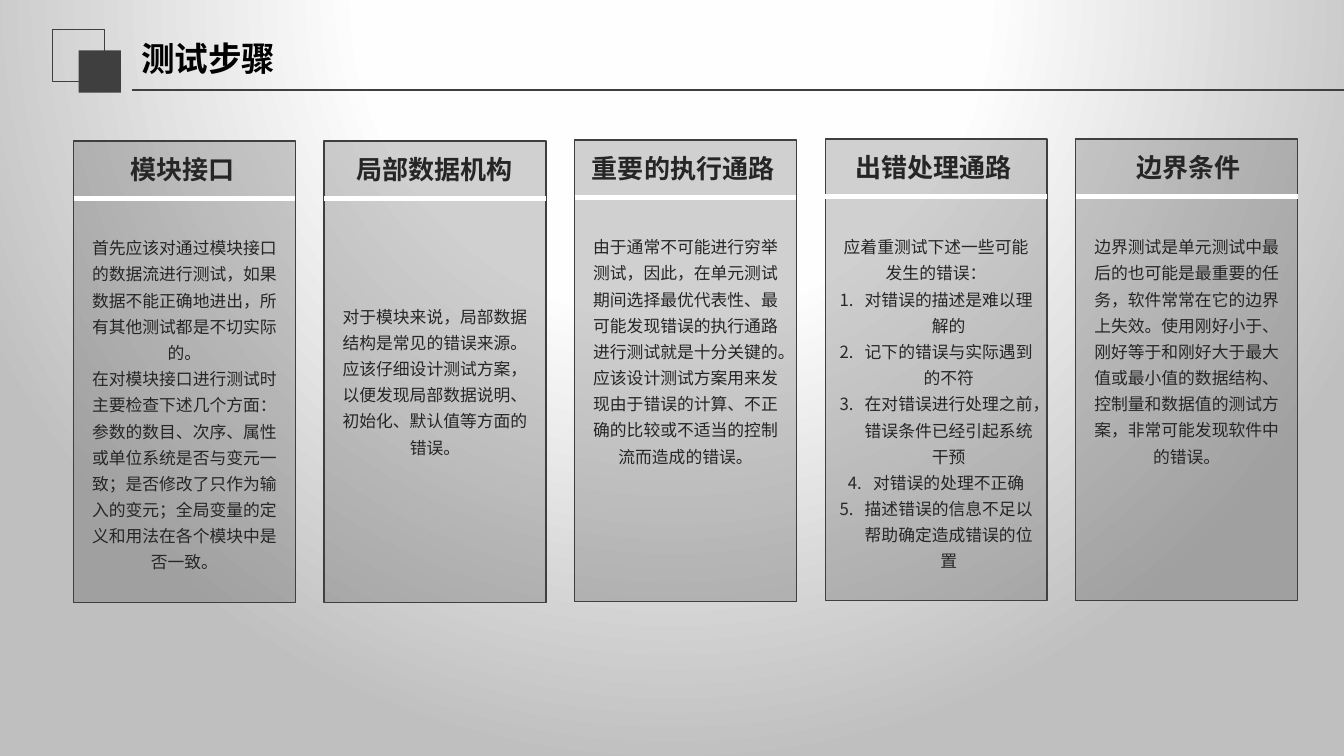
from dataclasses import dataclass
from typing import Any

from lxml.etree import SubElement
from pptx import Presentation
from pptx.dml.color import RGBColor
from pptx.enum.shapes import MSO_CONNECTOR, MSO_SHAPE
from pptx.enum.text import MSO_ANCHOR, MSO_AUTO_SIZE, PP_ALIGN
from pptx.oxml import parse_xml
from pptx.oxml.ns import nsdecls, qn
from pptx.util import Inches, Pt

COLUMN_LEFT, COLUMN_STEP, COLUMN_WIDTH = 0.73, 2.485, 2.2
COLUMN_HEIGHT = 4.58
INDENT = Inches(0.25)

COLUMNS = [
    dict(heading="模块接口", top=1.4, shift=0.05, body_top=2.3, body_height=3.39, paragraphs=[
        "首先应该对通过模块接口的数据流进行测试，如果数据不能正确地进出，所有其他测试都是不切实际的。",
        "在对模块接口进行测试时主要检查下述几个方面：参数的数目、次序、属性或单位系统是否与变元一致；"
        "是否修改了只作为输入的变元；全局变量的定义和用法在各个模块中是否一致。",
    ]),
    dict(heading="局部数据机构", top=1.4, shift=0.06, body_top=2.98, body_height=1.55, paragraphs=[
        "对于模块来说，局部数据结构是常见的错误来源。应该仔细设计测试方案，"
        "以便发现局部数据说明、初始化、默认值等方面的错误。",
    ]),
    dict(heading="重要的执行通路", top=1.39, shift=0.04, body_top=2.29, body_height=2.34, paragraphs=[
        "由于通常不可能进行穷举测试，因此，在单元测试期间选择最优代表性、"
        "最可能发现错误的执行通路进行测试就是十分关键的。应该设计测试方案用来发现由于错误的计算、"
        "不正确的比较或不适当的控制流而造成的错误。",
    ]),
    dict(heading="出错处理通路", top=1.38, shift=0.04, body_top=2.29, body_height=3.39, paragraphs=[
        "应着重测试下述一些可能发生的错误：",
    ], numbered=[
        "对错误的描述是难以理解的",
        "记下的错误与实际遇到的不符",
        "在对错误进行处理之前，错误条件已经引起系统干预",
        "对错误的处理不正确",
        "描述错误的信息不足以帮助确定造成错误的位置",
    ]),
    dict(heading="边界条件", top=1.38, shift=0.08, body_top=2.29, body_height=2.34, paragraphs=[
        "边界测试是单元测试中最后的也可能是最重要的任务，软件常常在它的边界上失效。"
        "使用刚好小于、刚好等于和刚好大于最大值或最小值的数据结构、控制量和数据值的测试方案，"
        "非常可能发现软件中的错误。",
    ]),
]


def color(value):
    return RGBColor.from_string(value)


@dataclass
class SlideBuilder:
    page: Any
    dark: str = "3F3F3F"
    ink: str = "262626"
    white: str = "FFFFFF"
    body_font: str = "Noto Sans CJK SC"
    title_font: str = "Calibri"

    def background(self):
        self.page.background.fill.solid()
        properties = self.page.element.find(".//" + qn("p:bgPr"))
        stops = "".join(
            f'<a:gs pos="{position * 1000}"><a:srgbClr val="{value}"/></a:gs>'
            for position, value in ((0, self.white), (40, "FEFEFE"), (100, "BFBFBF"))
        )
        gradient = parse_xml(
            f'<a:gradFill {nsdecls("a")} rotWithShape="1"><a:gsLst>{stops}</a:gsLst>'
            '<a:path path="circle"><a:fillToRect l="50000" t="-80000" r="50000" b="180000"/>'
            "</a:path></a:gradFill>"
        )
        properties.replace(properties[0], gradient)

    def rectangle(self, left, top, width, height, fill=None, line_width=None, opacity=None):
        shape = self.page.shapes.add_shape(
            MSO_SHAPE.RECTANGLE, Inches(left), Inches(top), Inches(width), Inches(height)
        )
        shape.shadow.inherit = False
        if fill:
            shape.fill.solid()
            shape.fill.fore_color.rgb = color(fill)
        else:
            shape.fill.background()
        if opacity:
            tone = shape.fill._xPr.find(".//" + qn("a:srgbClr"))
            SubElement(tone, qn("a:alpha"), val=str(opacity * 1000))
        if line_width:
            shape.line.color.rgb = color(self.dark)
            shape.line.width = Pt(line_width)
        else:
            shape.line.fill.background()

    def rule(self, left, right, y, line_color, line_width):
        line = self.page.shapes.add_connector(
            MSO_CONNECTOR.STRAIGHT, Inches(left), Inches(y), Inches(right), Inches(y)
        )
        line.line.color.rgb = color(line_color)
        line.line.width = Pt(line_width)
        SubElement(line.element.spPr, qn("a:effectLst"))

    def title(self, text, left, top, width, height):
        box = self.page.shapes.title
        box.left, box.top = Inches(left), Inches(top)
        box.width, box.height = Inches(width), Inches(height)
        frame = box.text_frame
        frame.text = text
        frame.auto_size = MSO_AUTO_SIZE.NONE
        frame.vertical_anchor = MSO_ANCHOR.MIDDLE
        para = frame.paragraphs[0]
        para.alignment = PP_ALIGN.LEFT
        font = para.runs[0].font
        font.name, font.size, font.bold = self.title_font, Pt(24), True
        font.color.rgb = color("000000")

    def text(self, left, top, width, height, lines, size, bold=False,
             inset=0, spacing=None, numbered=()):
        box = self.page.shapes.add_textbox(
            Inches(left), Inches(top), Inches(width), Inches(height)
        )
        frame = box.text_frame
        frame.word_wrap = True
        frame.auto_size = MSO_AUTO_SIZE.SHAPE_TO_FIT_TEXT
        frame.margin_left, frame.margin_right = Inches(inset), Inches(0.13)
        frame.margin_top = frame.margin_bottom = 0
        frame.text = "\n".join([*lines, *numbered])
        for index, para in enumerate(frame.paragraphs):
            if index >= len(lines):
                self.number(para)
            para.alignment = PP_ALIGN.CENTER
            if spacing:
                para.line_spacing = spacing
            for span in para.runs:
                span.font.name, span.font.size, span.font.bold = self.body_font, Pt(size), bold
                span.font.color.rgb = color(self.ink)
                SubElement(span.font._element, qn("a:ea"), typeface=self.body_font)

    def number(self, para):
        properties = para._p.get_or_add_pPr()
        properties.set("marL", str(INDENT))
        properties.set("indent", str(-INDENT))
        SubElement(properties, qn("a:buFont"), typeface="+mj-lt")
        SubElement(properties, qn("a:buAutoNum"), type="arabicPeriod")

    def column(self, left, heading, top, shift, body_top, body_height, paragraphs, numbered=()):
        self.rectangle(left, top, COLUMN_WIDTH, COLUMN_HEIGHT, self.dark, 1, opacity=24)
        self.rule(left, left + COLUMN_WIDTH, top + 0.57, self.white, 3)
        self.text(left + shift, top + 0.125, COLUMN_WIDTH, 0.31, [heading], 18.6, bold=True)
        self.text(left, body_top, COLUMN_WIDTH, body_height, paragraphs, 12,
                  inset=0.13, spacing=1.3, numbered=numbered)


def main():
    deck = Presentation()
    deck.slide_width, deck.slide_height = Inches(13.33), Inches(7.5)
    builder = SlideBuilder(deck.slides.add_slide(deck.slide_layouts[5]))
    builder.background()
    builder.rectangle(0.52, 0.29, 0.52, 0.52, line_width=0.75)
    builder.rectangle(0.78, 0.5, 0.42, 0.42, builder.dark)
    builder.rule(1.31, 13.33, 0.89, builder.dark, 1.25)
    builder.title("测试步骤", 1.3, 0.29, 4.74, 0.58)
    for index, column in enumerate(COLUMNS):
        builder.column(COLUMN_LEFT + index * COLUMN_STEP, **column)
    deck.save("out.pptx")


if __name__ == "__main__":
    main()
